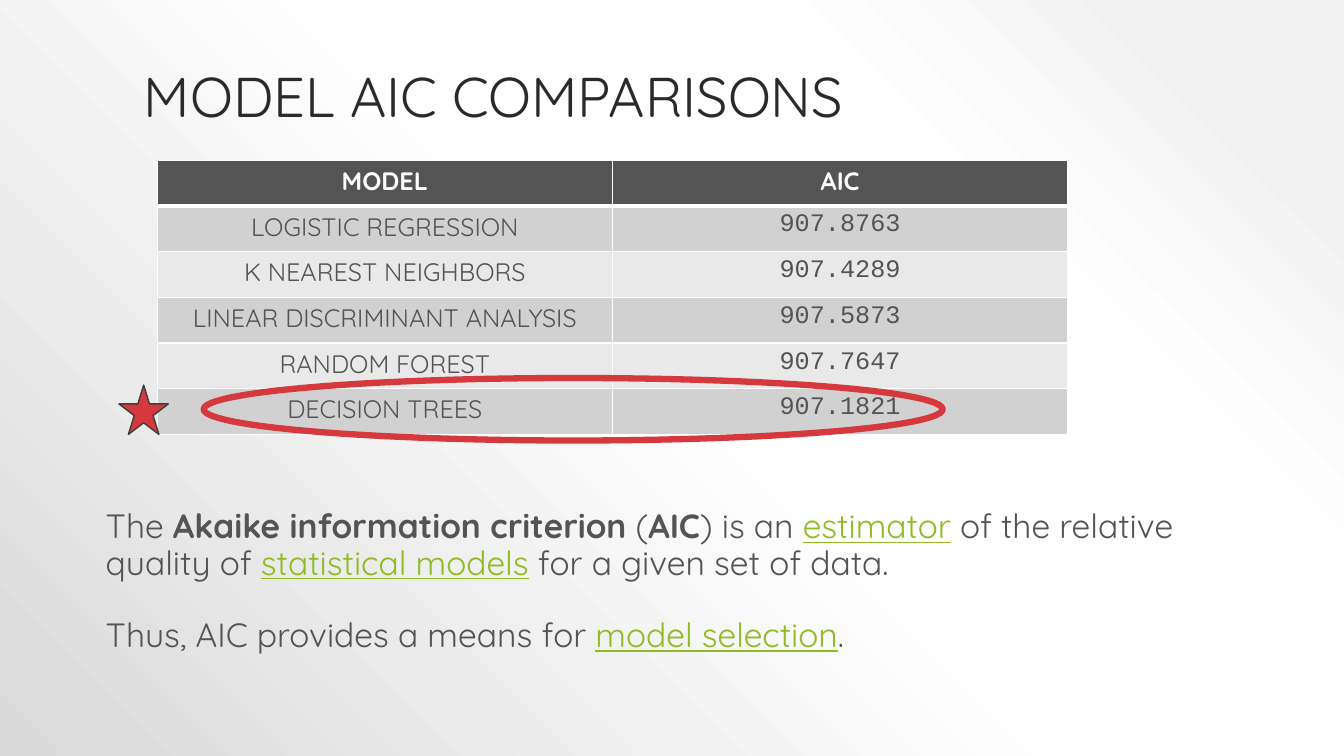
from lxml import etree
from pptx import Presentation
from pptx.dml.color import RGBColor
from pptx.enum.shapes import MSO_SHAPE
from pptx.enum.text import MSO_ANCHOR, PP_ALIGN
from pptx.oxml import parse_xml
from pptx.oxml.ns import nsdecls, qn
from pptx.util import Inches, Pt

ELLIPSE, STAR = MSO_SHAPE.OVAL, MSO_SHAPE.STAR_5_POINT
CENTER, BOTTOM = PP_ALIGN.CENTER, MSO_ANCHOR.BOTTOM

TITLE = "MODEL AIC COMPARISONS"
ROWS = [
    ("MODEL", "AIC"),
    ("LOGISTIC REGRESSION", "907.8763"),
    ("K NEAREST NEIGHBORS", "907.4289"),
    ("LINEAR DISCRIMINANT ANALYSIS", "907.5873"),
    ("RANDOM FOREST", "907.7647"),
    ("DECISION TREES", "907.1821"),
]
EXPLANATION = [
    [("The ", ""), ("Akaike information criterion", "bold"), (" (", ""), ("AIC", "bold"),
     (") is an ", ""), ("estimator", "term"), (" of the relative", "")],
    [("quality of ", ""), ("statistical models", "term"), (" for a given set of data.", "")],
    [("Thus, AIC provides a means for ", ""), ("model selection", "term"), (".", "")],
]
FONT, NUMBER_FONT = "Quicksand", "Courier New"
GRAY, WHITE, RED, GREEN = "545454", "FFFFFF", "D5393D", "90BB23"
BANDS = ["E9E9E9", "D1D1D1"]
GRADIENT = [(10, "F2F2F2"), (28, WHITE), (48, WHITE), (100, "D9D9D9")]
TABLE_LEFT, TABLE_TOP, TABLE_WIDTH, TABLE_HEIGHT = 1.56, 1.59, 9.03, 2.72


def color(value):
    return RGBColor.from_string(value)


def box(left, top, width, height):
    return [Inches(length) for length in (left, top, width, height)]


def style(run, size, value, name=FONT, bold=False):
    run.font.size, run.font.name, run.font.bold = Pt(size), name, bold
    run.font.color.rgb = color(value)


def set_background(slide):
    stops = "".join(
        f'<a:gs pos="{share * 1000}"><a:srgbClr val="{value}"/></a:gs>'
        for share, value in GRADIENT)
    background = parse_xml(
        f'<p:bg {nsdecls("p", "a")}><p:bgPr><a:gradFill rotWithShape="1">'
        f'<a:gsLst>{stops}</a:gsLst><a:path path="circle">'
        '<a:fillToRect l="100000" b="100000"/></a:path></a:gradFill>'
        '<a:effectLst/></p:bgPr></p:bg>')
    slide.shapes._spTree.addprevious(background)


def set_borders(cell, widths):
    properties = cell._tc.get_or_add_tcPr()
    for position, (side, width) in enumerate(widths.items()):
        line = etree.Element(qn(f"a:ln{side}"), w=str(Pt(width)))
        fill = etree.SubElement(line, qn("a:solidFill"))
        etree.SubElement(fill, qn("a:srgbClr"), val=WHITE)
        properties.insert(position, line)


def add_table(slide):
    table = slide.shapes.add_table(
        len(ROWS), len(ROWS[0]),
        *box(TABLE_LEFT, TABLE_TOP, TABLE_WIDTH, TABLE_HEIGHT)).table
    for row, values in enumerate(ROWS):
        header = row == 0
        for column, value in enumerate(values):
            cell = table.cell(row, column)
            cell.fill.solid()
            cell.fill.fore_color.rgb = color(GRAY if header else BANDS[row % 2])
            set_borders(cell, {"L": 1, "R": 1, "T": 3 if row == 1 else 1, "B": 3 if header else 1})
            paragraph = cell.text_frame.paragraphs[0]
            paragraph.text, paragraph.alignment = value, CENTER
            name = NUMBER_FONT if column and not header else FONT
            style(paragraph.runs[0], 18, WHITE if header else GRAY, name, header)


def add_mark(slide, kind, place, line_color, line_width, fill=None):
    shape = slide.shapes.add_shape(kind, *box(*place))
    shape.shadow.inherit = False
    if fill:
        shape.fill.solid()
        shape.fill.fore_color.rgb = color(fill)
    else:
        shape.fill.background()
    shape.line.color.rgb = color(line_color)
    shape.line.width = Pt(line_width)


def add_text_frame(slide, *place):
    text_frame = slide.shapes.add_textbox(*box(*place)).text_frame
    text_frame.word_wrap = True
    return text_frame


def add_title(slide):
    text_frame = add_text_frame(slide, 1.33, 0.4, 10.67, 0.94)
    text_frame.text, text_frame.vertical_anchor = TITLE, BOTTOM
    paragraph = text_frame.paragraphs[0]
    paragraph.line_spacing = 0.9
    style(paragraph.runs[0], 40, "2A2A2A")


def add_explanation(slide):
    text_frame = add_text_frame(slide, 0.95, 5.01, 11.18, 1.56)
    for index, parts in enumerate(EXPLANATION):
        paragraph = text_frame.add_paragraph() if index else text_frame.paragraphs[0]
        paragraph.line_spacing = 0.9
        for text, role in parts:
            run = paragraph.add_run()
            run.text = text
            style(run, 24, GREEN if role == "term" else GRAY, bold=role == "bold")
            run.font.underline = role == "term"
    paragraph.space_before = Pt(26)


def main():
    presentation = Presentation()
    presentation.slide_width, presentation.slide_height = Inches(13.33), Inches(7.5)
    slide = presentation.slides.add_slide(presentation.slide_layouts[6])
    set_background(slide)
    add_title(slide)
    add_table(slide)
    add_mark(slide, ELLIPSE, (2.02, 3.75, 7.33, 0.62), RED, 4.5)
    add_mark(slide, STAR, (1.18, 3.82, 0.49, 0.49), "3E3E3E", 1, RED)
    add_explanation(slide)
    presentation.save("out.pptx")


if __name__ == "__main__":
    main()
